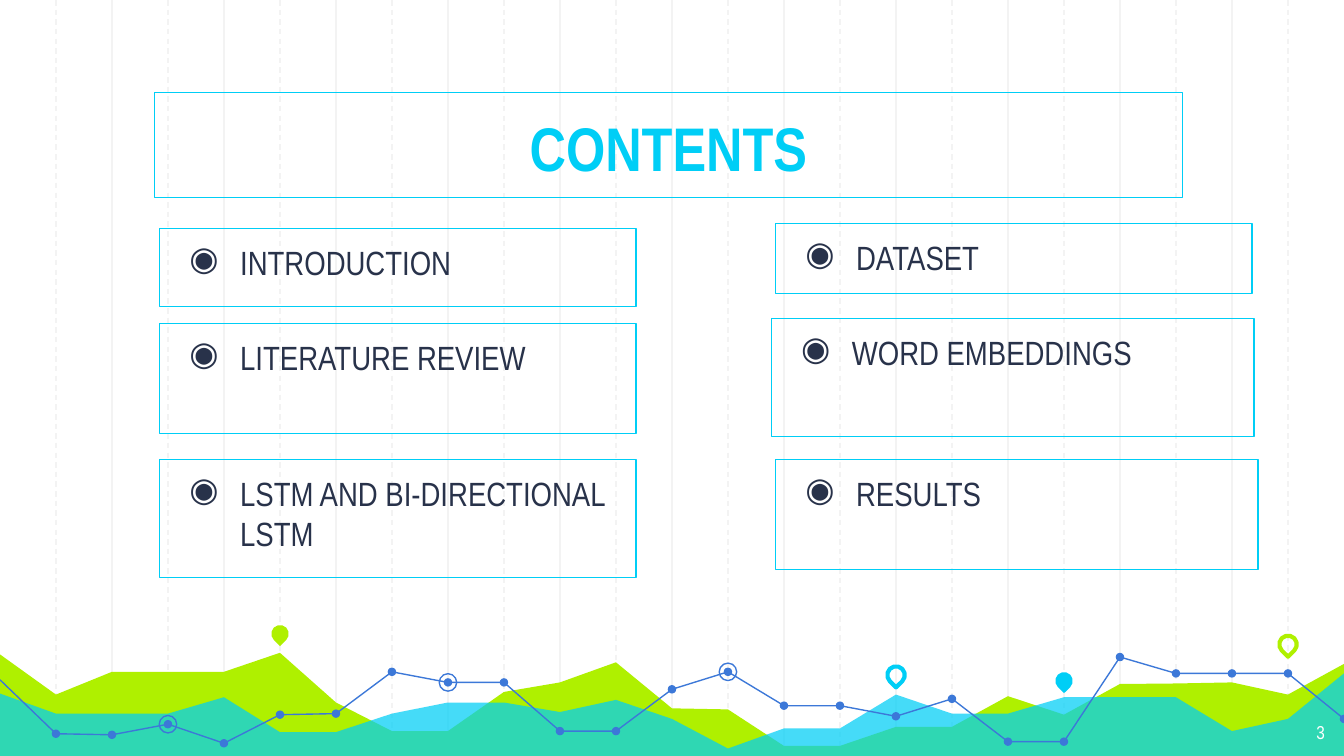
from dataclasses import dataclass
from typing import Optional, Sequence

from lxml.etree import SubElement
from pptx import Presentation
from pptx.dml.color import RGBColor
from pptx.enum.dml import MSO_LINE
from pptx.enum.shapes import MSO_CONNECTOR, MSO_SHAPE
from pptx.enum.text import MSO_ANCHOR, PP_ALIGN
from pptx.oxml.ns import qn
from pptx.shapes.autoshape import Shape
from pptx.util import Cm, Pt

WIDTH, HEIGHT = 25.4, 14.29
STEP = WIDTH / 24
FONT = "Arial Narrow"
CYAN, LIME, BLUE = "00CEF6", "AFF000", "3C78D8"
INK, GRID, WHITE = "28324A", "F3F3F3", "FFFFFF"

LIME_HILLS = [12.37, 13.13, 12.7, 12.7, 12.7, 12.34, 13.28, 13.82, 13.82, 13.08,
              12.9, 12.52, 13.39, 13.41, 14.1, 14.1, 13.74, 13.74, 13.16, 13.51,
              12.93, 12.92, 12.9, 13.13, 12.55]
CYAN_HILLS = [13.11, 13.49, 13.49, 13.49, 13.18, 13.84, 13.84, 13.49, 13.28, 13.28,
              13.46, 13.23, 13.59, 14.15, 13.77, 13.77, 13.13, 13.49, 13.49, 13.18,
              13.18, 13.18, 13.82, 13.59, 12.73]
TREND = [12.85, 13.87, 13.89, 13.69, 14.05, 13.51, 13.49, 12.7, 12.9, 12.9,
         13.82, 13.82, 13.03, 12.7, 13.34, 13.34, 13.54, 13.21, 14.02, 14.02,
         12.42, 12.73, 12.73, 12.73, 13.59]
TREND_SECTIONS = [(0, 11), (11, 20), (20, 24)]
RINGED_COLUMNS = [3, 8, 13]


@dataclass
class Pin:
    column: int
    middle: float
    color: str
    filled: bool


@dataclass
class Box:
    text: str
    left: float
    top: float
    width: float
    height: float
    size: int = 18
    color: str = INK
    border: Optional[str] = CYAN
    bold: bool = False
    bullet: Optional[str] = "◉"
    alignment: PP_ALIGN = PP_ALIGN.LEFT
    anchor: MSO_ANCHOR = MSO_ANCHOR.TOP


PINS = [
    Pin(5, 11.98, LIME, True),
    Pin(16, 12.76, CYAN, False),
    Pin(19, 12.87, CYAN, True),
    Pin(23, 12.18, LIME, False),
]

BOXES = [
    Box("CONTENTS", 2.92, 1.75, 19.43, 1.98, size=33, color=CYAN, bold=True,
        bullet=None, alignment=PP_ALIGN.CENTER, anchor=MSO_ANCHOR.BOTTOM),
    Box("3", 23.77, 13.41, 1.52, 0.89, size=10, color=WHITE, border=None,
        bullet=None, alignment=PP_ALIGN.RIGHT),
    Box("INTRODUCTION", 3.02, 4.32, 9, 1.47),
    Box("LITERATURE REVIEW", 3.02, 6.12, 9, 2.08),
    Box("LSTM AND BI-DIRECTIONAL LSTM", 3.02, 8.69, 9, 2.23),
    Box("DATASET", 14.66, 4.23, 9, 1.32),
    Box("WORD EMBEDDINGS", 14.58, 6.02, 9.12, 2.23),
    Box("RESULTS", 14.66, 8.69, 9.12, 2.08),
]


def rgb(color: str) -> RGBColor:
    return RGBColor.from_string(color)


def paint(shape: Shape, fill: Optional[str] = None, line: Optional[str] = None,
          weight: float = 0.75) -> None:
    shape.shadow.inherit = False
    if fill:
        shape.fill.solid()
        shape.fill.fore_color.rgb = rgb(fill)
    else:
        shape.fill.background()
    if line:
        shape.line.color.rgb = rgb(line)
        shape.line.width = Pt(weight)
    else:
        shape.line.fill.background()


def draw_grid_line(slide, column: int, dashed: bool) -> None:
    x = Cm(column * STEP)
    connector = slide.shapes.add_connector(MSO_CONNECTOR.STRAIGHT, x, 0, x, Cm(HEIGHT))
    connector.line.color.rgb = rgb(GRID)
    connector.line.width = Pt(0.75)
    if dashed:
        connector.line.dash_style = MSO_LINE.DASH
    SubElement(connector._element.spPr, qn("a:effectLst"))


def draw_path(slide, points: Sequence[tuple[float, float]], close: bool) -> Shape:
    start, *rest = [(Cm(x), Cm(y)) for x, y in points]
    builder = slide.shapes.build_freeform(*start)
    builder.add_line_segments(rest, close=close)
    return builder.convert_to_shape()


def draw_hills(slide, heights: Sequence[float], color: str,
               opacity: Optional[int] = None) -> None:
    ridge = [(column * STEP, y) for column, y in enumerate(heights)]
    shape = draw_path(slide, ridge + [(WIDTH, HEIGHT), (0, HEIGHT)], True)
    paint(shape, fill=color)
    if opacity:
        color_element = shape._element.spPr.find(qn("a:solidFill"))[0]
        SubElement(color_element, qn("a:alpha"), val=str(opacity * 1000))


def draw_marker(slide, kind: MSO_SHAPE, column: int, middle: float, size: float) -> Shape:
    return slide.shapes.add_shape(kind, Cm(column * STEP - size / 2),
                                  Cm(middle - size / 2), Cm(size), Cm(size))


def draw_pin(slide, pin: Pin) -> None:
    shape = draw_marker(slide, MSO_SHAPE.TEAR, pin.column, pin.middle, 0.33)
    shape.rotation = 135
    if pin.filled:
        paint(shape, fill=pin.color)
    else:
        paint(shape, line=pin.color, weight=2.25)


def draw_trend(slide) -> None:
    for first, last in TREND_SECTIONS:
        points = [(column * STEP, TREND[column]) for column in range(first, last + 1)]
        paint(draw_path(slide, points, False), line=BLUE)
    for column, middle in enumerate(TREND[1:], start=1):
        paint(draw_marker(slide, MSO_SHAPE.OVAL, column, middle, 0.16), fill=BLUE)
    for column in RINGED_COLUMNS:
        paint(draw_marker(slide, MSO_SHAPE.OVAL, column, TREND[column], 0.33), line=BLUE)


def add_bullet(paragraph, character: str, color: str) -> None:
    paragraph.space_before = Pt(6)
    properties = paragraph._p.get_or_add_pPr()
    properties.set("marL", str(Cm(1.27)))
    properties.set("indent", str(Cm(-0.96)))
    bullet_color = SubElement(properties, qn("a:buClr"))
    SubElement(bullet_color, qn("a:srgbClr"), val=color)
    SubElement(properties, qn("a:buFont"), typeface=FONT)
    SubElement(properties, qn("a:buChar"), char=character)


def draw_box(slide, box: Box) -> None:
    place = Cm(box.left), Cm(box.top), Cm(box.width), Cm(box.height)
    if box.border:
        shape = slide.shapes.add_shape(MSO_SHAPE.RECTANGLE, *place)
        paint(shape, line=box.border)
    else:
        shape = slide.shapes.add_textbox(*place)
    frame = shape.text_frame
    frame.word_wrap = True
    frame.vertical_anchor = box.anchor
    frame.margin_left = frame.margin_right = Cm(0.25)
    frame.margin_top = frame.margin_bottom = Cm(0.25)
    paragraph = frame.paragraphs[0]
    paragraph.alignment = box.alignment
    if box.bullet:
        add_bullet(paragraph, box.bullet, box.color)
    run = paragraph.add_run()
    run.text = box.text
    run.font.name = FONT
    run.font.size = Pt(box.size)
    run.font.bold = box.bold
    run.font.color.rgb = rgb(box.color)


def main() -> None:
    presentation = Presentation()
    presentation.slide_width, presentation.slide_height = Cm(WIDTH), Cm(HEIGHT)
    slide = presentation.slides.add_slide(presentation.slide_layouts[6])
    for column in range(1, 24):
        draw_grid_line(slide, column, dashed=column % 2 == 1)
    draw_hills(slide, LIME_HILLS, LIME)
    draw_hills(slide, CYAN_HILLS, CYAN, opacity=73)
    draw_trend(slide)
    for pin in PINS:
        draw_pin(slide, pin)
    for box in BOXES:
        draw_box(slide, box)
    presentation.save("out.pptx")


if __name__ == "__main__":
    main()
